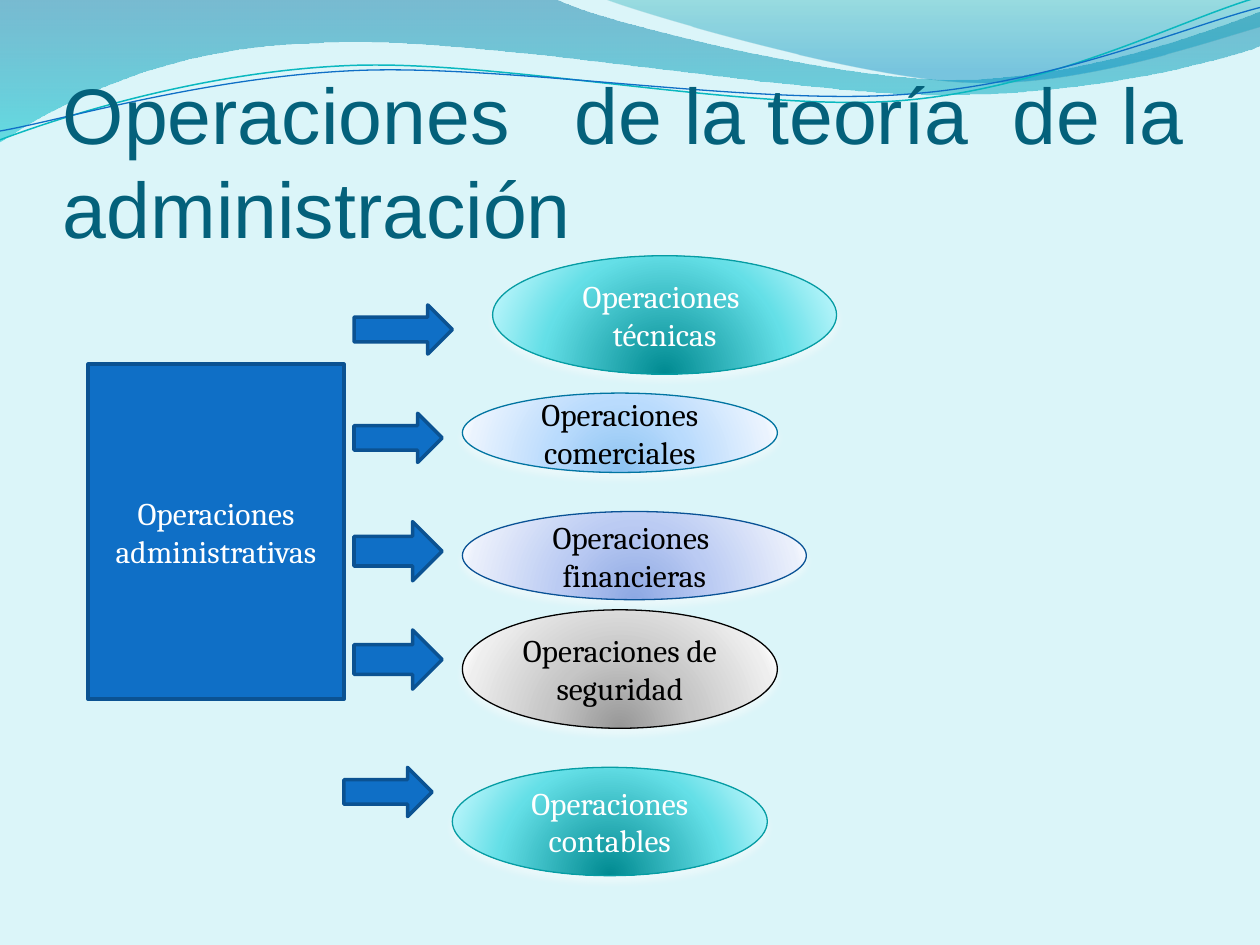
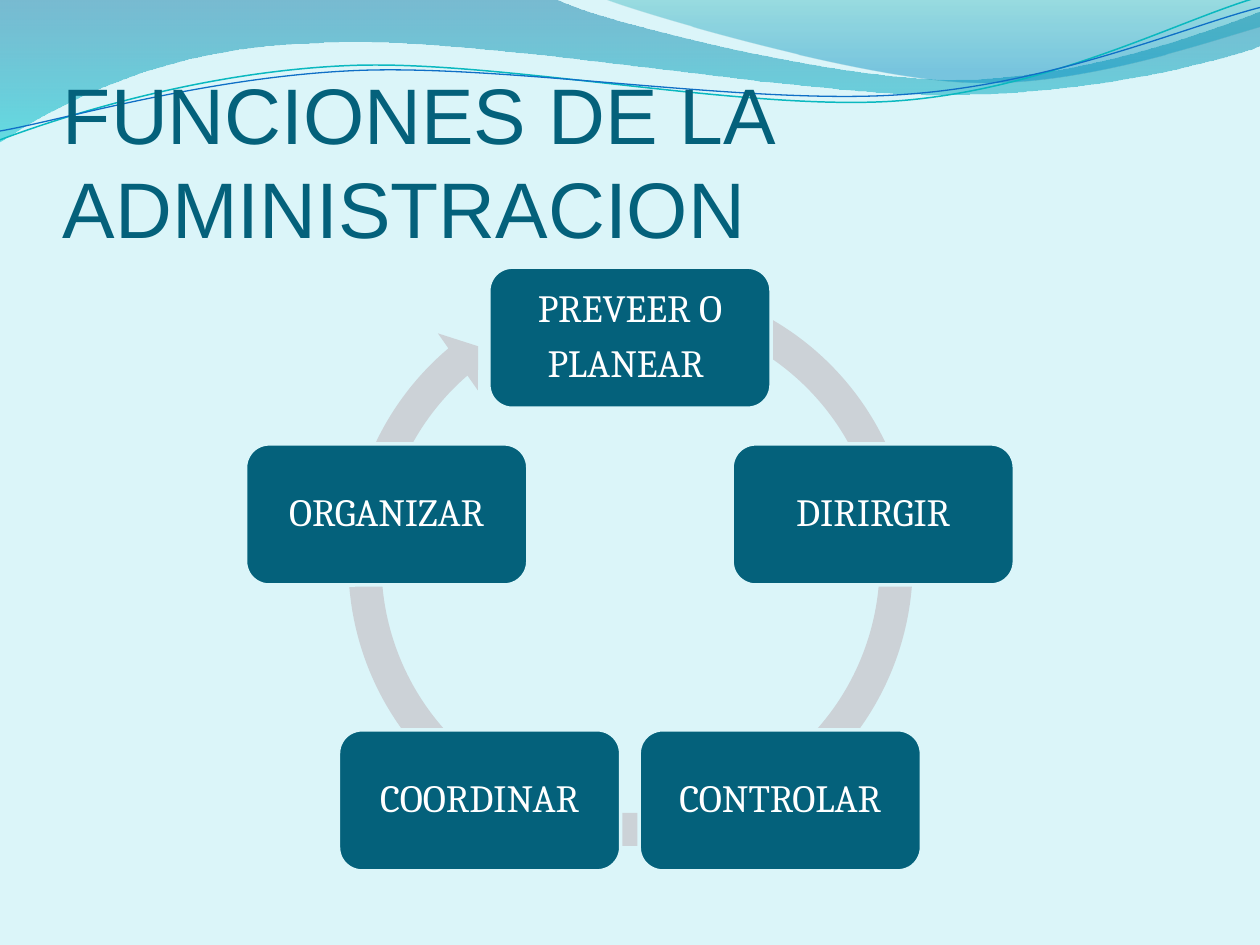
"""Build two slides on the operations and functions of administration."""
import math

from pptx import Presentation, util as u
from pptx.dml.color import RGBColor
from pptx.enum import shapes, text
from pptx.oxml import parse_xml
from pptx.oxml.ns import nsdecls, qn

rgb = RGBColor.from_string
SKY = rgb("DBF5F9")
PETROL = rgb("04617B")
BLUE = rgb("0F6FC6")
NAVY = rgb("0B5292")
AQUA = rgb("0AB8BF")
RING = rgb("CCD2D7")
WHITE = rgb("FFFFFF")
BLACK = rgb("000000")

BAND_LEFT = [(0, rgb("0074A1"), 45), (100, rgb("00C6CF"), 55)]
BAND_RIGHT = [(0, rgb("00A1A9"), 30), (80, rgb("008BBF"), 45)]
DOWNWARD = '<a:lin ang="5400000" scaled="0"/>'
FROM_BELOW = ('<a:path path="circle"><a:fillToRect l="50000" t="130000" '
              'r="50000" b="-30000"/></a:path>')


def glow(colors, places):
    """Pair gradient colours with their places as opaque stops."""
    return [(place, rgb(color), 100) for place, color in zip(places, colors.split())]


DEEP, PALE = (0, 68, 100), (0, 43, 93, 100)
TEAL_TONE = dict(stops=glow("008A91 64DFE7 B1F3F9", DEEP), edge=rgb("069CA3"), ink=WHITE)
SKY_TONE = dict(stops=glow("8BC2F1 B9DBFD EAF3FE F8FBFF", PALE), edge=rgb("0074A1"), ink=BLACK)
INDIGO_TONE = dict(stops=glow("8DA8E3 BBCBF3 EAEFFB F7F9FF", PALE), edge=rgb("095295"), ink=BLACK)
GRAY_TONE = dict(stops=glow("979797 C6C6C6 EEEEEE F9F9F9", PALE), edge=BLACK, ink=BLACK)

LEFT_OUTLINE = [
    [(0, 0)], [(4.4, -0.01)],
    [(4.76, 0.17), (6.64, 0.63), (7.58, 0.63)],
    [(8.53, 0.63), (9.58, 0.26), (10, 0.09)], [(10.01, 0.36)],
    [(9.83, 0.44), (8.7, 0.76), (7.46, 0.75)],
    [(6.22, 0.75), (3.82, 0.28), (2.57, 0.34)],
    [(1.29, 0.36), (0.46, 0.83), (-0.01, 1.13)], [(0, 0)]]
RIGHT_OUTLINE = [
    [(4.79, -0.01)],
    [(5.09, 0.11), (6.82, 0.62), (7.69, 0.65)],
    [(8.56, 0.69), (9.61, 0.32), (10, 0.21)], [(10, 0)], [(4.79, -0.01)]]
AQUA_WAVE = [
    [(0, 1.11)],
    [(0.48, 0.93), (1.58, 0.57), (2.77, 0.52)],
    [(3.95, 0.47), (5.93, 0.89), (7.13, 0.8)],
    [(8.33, 0.71), (9.38, 0.15), (9.98, -0.02)]]
BLUE_WAVE = [
    [(0, 1.04)],
    [(0.47, 0.96), (1.64, 0.61), (2.83, 0.56)],
    [(4.03, 0.51), (5.97, 0.84), (7.17, 0.75)],
    [(8.36, 0.67), (9.41, 0.21), (10, 0.06)]]
WAVE_TILT = 357.3

OPERATIONS = [
    ("Operaciones  técnicas", TEAL_TONE, (2.81, 2.42, 0.78, 0.39), (3.91, 2.03, 2.73, 0.94)),
    ("Operaciones comerciales", SKY_TONE, (2.81, 3.28, 0.7, 0.39), (3.67, 3.12, 2.5, 0.63)),
    ("Operaciones  financieras", INDIGO_TONE, (2.81, 4.14, 0.7, 0.47), (3.67, 4.06, 2.73, 0.7)),
    ("Operaciones de seguridad", GRAY_TONE, (2.81, 5, 0.7, 0.47), (3.67, 4.84, 2.5, 0.94)),
    ("Operaciones contables", TEAL_TONE, (2.73, 6.09, 0.7, 0.39), (3.59, 6.09, 2.5, 0.86))]
FUNCTIONS = ["PREVEER O\nPLANEAR ", "DIRIRGIR", "CONTROLAR", "COORDINAR", "ORGANIZAR"]


def level(outline, center, tilt):
    """Turn an outline about a center so that the tilt restores it."""
    cos, sin = math.cos(math.radians(-tilt)), math.sin(math.radians(-tilt))
    cx, cy = center
    return [[(cx + (x - cx) * cos - (y - cy) * sin, cy + (x - cx) * sin + (y - cy) * cos)
             for x, y in segment] for segment in outline]


def write(frame, content, size=18, font="Cambria", color=WHITE, align=text.PP_ALIGN.CENTER,
          anchor=text.MSO_ANCHOR.MIDDLE, insets=(0.1, 0.05, 0.1, 0.05), spacing=None, after=None):
    """Fill a text frame, one paragraph per line of content."""
    frame.word_wrap = True
    frame.vertical_anchor = anchor
    (frame.margin_left, frame.margin_top,
     frame.margin_right, frame.margin_bottom) = map(u.Inches, insets)
    for index, line in enumerate(content.split("\n")):
        paragraph = frame.paragraphs[0] if index == 0 else frame.add_paragraph()
        paragraph.alignment = align
        paragraph.line_spacing = spacing
        paragraph.space_after = after
        run = paragraph.add_run()
        run.text = line
        run.font.size, run.font.name = u.Pt(size), font
        run.font.color.rgb = color


class Deck:
    """Hold the shared style and the current slide."""

    def __init__(self):
        """Open an empty 10 by 7.5 inch presentation."""
        self.show = Presentation()
        self.show.slide_width, self.show.slide_height = u.Inches(10), u.Inches(7.5)
        self.slide = None

    def page(self, title):
        """Start a slide with its background, waves and title."""
        self.slide = self.show.slides.add_slide(self.show.slide_layouts[6])
        backdrop = self.slide.background.fill
        backdrop.solid()
        backdrop.fore_color.rgb = SKY
        for outline, stops in ((LEFT_OUTLINE, BAND_LEFT), (RIGHT_OUTLINE, BAND_RIGHT)):
            band = self.curve(outline, closed=True)
            self.paint(band)
            self.gradient(band, stops, DOWNWARD)
        for outline, center, color, width in ((AQUA_WAVE, (4.99, 0.58), AQUA, 0.85),
                                              (BLUE_WAVE, (5, 0.59), BLUE, 0.75)):
            wave = self.curve(level(outline, center, WAVE_TILT), closed=False)
            wave.rotation = WAVE_TILT
            self.paint(wave, edge=color, width=width)
        heading = self.slide.shapes.add_textbox(*map(u.Inches, (0.5, 0.77, 9, 1.25)))
        write(heading.text_frame, title, size=45, font="Arial", color=PETROL,
              align=text.PP_ALIGN.LEFT, anchor=text.MSO_ANCHOR.BOTTOM, insets=(0, 0.05, 0, 0))

    def curve(self, outline, closed):
        """Draw an outline whose three-point segments are Bezier curves."""
        points = [(u.Inches(x), u.Inches(y)) for segment in outline for x, y in segment]
        builder = self.slide.shapes.build_freeform(*points[0])
        builder.add_line_segments(points[1:], close=closed)
        shape = builder.convert_to_shape()
        lines = iter(list(shape._element.iter(qn("a:lnTo"))))
        for segment in outline[1:]:
            steps = [next(lines) for _ in segment]
            if len(steps) == 3:
                bend = parse_xml(f'<a:cubicBezTo {nsdecls("a")}/>')
                steps[0].addprevious(bend)
                for step in steps:
                    bend.append(step[0])
                    step.getparent().remove(step)
        return shape

    def paint(self, shape, fill=None, edge=None, width=2):
        """Set a plain fill and line, and drop the shadow."""
        shape.shadow.inherit = False
        for part, color in ((shape.fill, fill), (shape.line.fill, edge)):
            if color is None:
                part.background()
            else:
                part.solid()
                part.fore_color.rgb = color
        if edge is not None:
            shape.line.width = u.Pt(width)

    def gradient(self, shape, stops, direction):
        """Replace the empty fill by a gradient with opacities."""
        marks = "".join(
            f'<a:gs pos="{place * 1000}"><a:srgbClr val="{color}">'
            f'<a:alpha val="{opacity * 1000}"/></a:srgbClr></a:gs>'
            for place, color, opacity in stops)
        properties = shape._element.spPr
        properties.replace(properties.find(qn("a:noFill")), parse_xml(
            f'<a:gradFill {nsdecls("a")} rotWithShape="1">'
            f'<a:gsLst>{marks}</a:gsLst>{direction}</a:gradFill>'))

    def block(self, kind, box, fill=None, edge=None, width=2, content=None, **style):
        """Add a preset shape, with text if given."""
        shape = self.slide.shapes.add_shape(kind, *map(u.Inches, box))
        self.paint(shape, fill, edge, width)
        if content:
            write(shape.text_frame, content, **style)
        return shape

    def oval(self, box, content, tone):
        """Add a shaded ellipse with a soft light halo."""
        oval = self.block(shapes.MSO_SHAPE.OVAL, box, edge=tone["edge"], width=0.75,
                          content=content, color=tone["ink"])
        self.gradient(oval, tone["stops"], FROM_BELOW)
        oval._element.spPr.find(qn("a:effectLst")).append(parse_xml(
            f'<a:outerShdw {nsdecls("a")} blurRad="57150" dist="38100" dir="5400000" '
            f'algn="ctr" rotWithShape="0"><a:srgbClr val="{WHITE}">'
            '<a:alpha val="48000"/></a:srgbClr></a:outerShdw>'))


def operations(deck):
    """Administrative operations and the five that depend on them."""
    deck.page("Operaciones   de la teoría  de la administración")
    deck.block(shapes.MSO_SHAPE.RECTANGLE, (0.7, 2.89, 2.03, 2.66), BLUE, NAVY,
               content="Operaciones administrativas")
    for name, tone, arrow_box, oval_box in OPERATIONS:
        deck.block(shapes.MSO_SHAPE.RIGHT_ARROW, arrow_box, BLUE, NAVY)
        deck.oval(oval_box, name, tone)


def functions(deck):
    """Cycle of the five functions of administration."""
    deck.page("FUNCIONES DE LA ADMINISTRACION")
    cycle = deck.block(shapes.MSO_SHAPE.CIRCULAR_ARROW, (2.62, 2.09, 4.77, 4.77), RING)
    for index, value in enumerate((0.055, 3.307, 137.678, 173.909, 0.058)):
        cycle.adjustments[index] = value
    radius, width, height = 2.03, 2.24, 1.12
    for index, name in enumerate(FUNCTIONS):
        angle = math.tau * index / len(FUNCTIONS)
        left = 5 + radius * math.sin(angle) - width / 2
        top = 4.71 - radius * math.cos(angle) - height / 2
        deck.block(shapes.MSO_SHAPE.ROUNDED_RECTANGLE, (left, top, width, height), PETROL, SKY,
                   content=name, size=22, insets=(0.09,) * 4, spacing=0.9, after=u.Pt(8))


def main():
    """Build and save the slides."""
    deck = Deck()
    operations(deck)
    functions(deck)
    deck.show.save("out.pptx")


if __name__ == "__main__":
    main()
